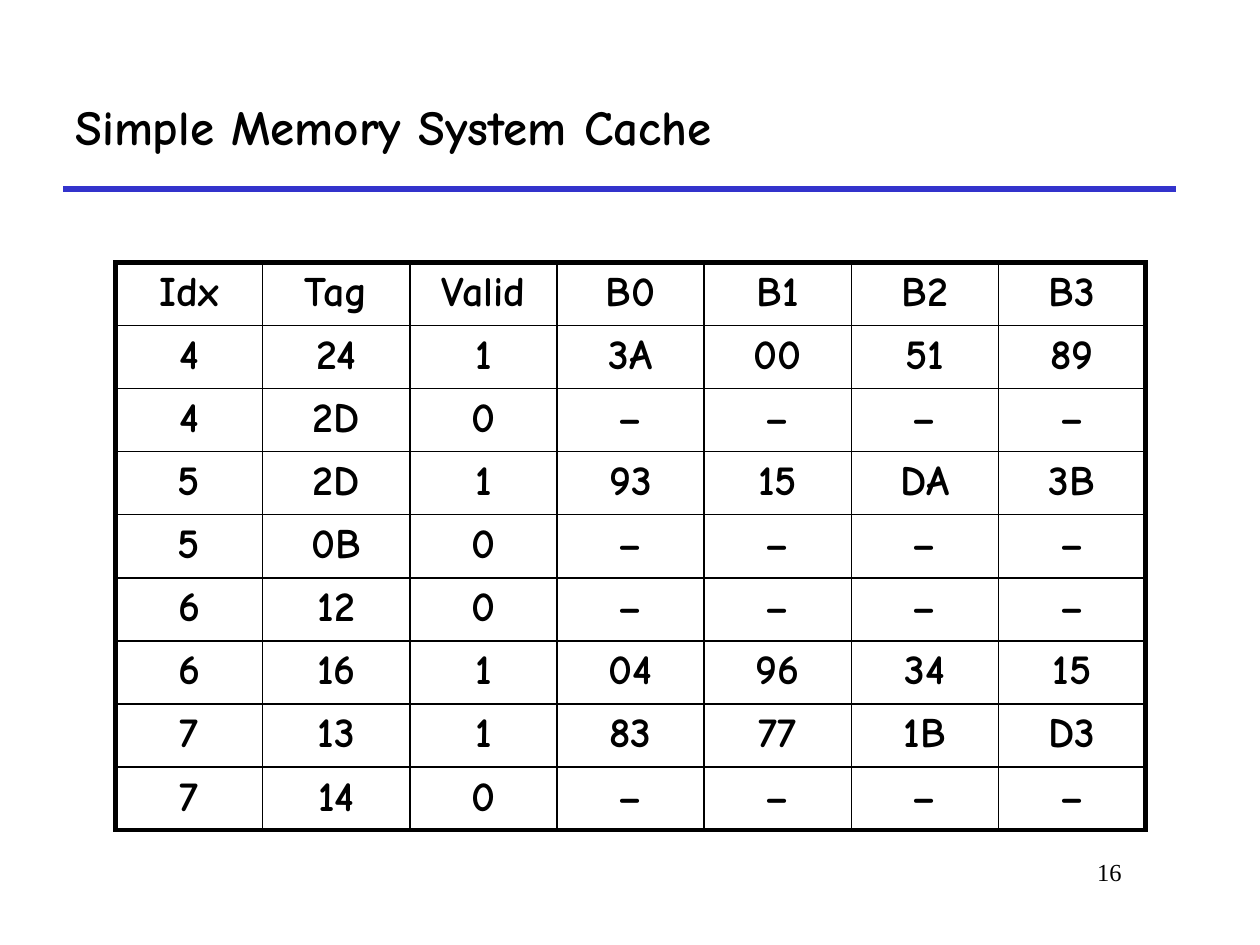
import dataclasses

import lxml.etree
import pptx
import pptx.dml.color
import pptx.enum.shapes
import pptx.enum.text
import pptx.oxml
import pptx.oxml.ns
import pptx.util


@dataclasses.dataclass(frozen=True)
class Theme:
    ink: str = "000000"
    rule: str = "3333CC"
    heading_font: str = "Comic Neue"
    number_font: str = "Times New Roman"
    title_size: int = 28
    cell_size: int = 24
    number_size: int = 14
    thick: int = 3
    thin: int = 1


theme = Theme()
align = pptx.enum.text.PP_ALIGN
anchor = pptx.enum.text.MSO_ANCHOR

deck = pptx.Presentation()
deck.slide_width = pptx.util.Inches(10)
deck.slide_height = pptx.util.Inches(7.5)
page = deck.slides.add_slide(deck.slide_layouts[6])
unit = deck.slide_width / 120  # the grid has 120 columns and 90 rows


def grid(*counts):
    return [round(count * unit) for count in counts]


def write(frame, text, font, size, bold, alignment):
    para = frame.paragraphs[0]
    para.text = text
    para.alignment = alignment
    para.font.name = font
    para.font.size = pptx.util.Pt(size)
    para.font.bold = bold
    para.font.color.rgb = pptx.dml.color.RGBColor.from_string(theme.ink)


# Rule under the title
rule = page.shapes.add_connector(
    pptx.enum.shapes.MSO_CONNECTOR.STRAIGHT, *grid(6, 18, 112, 18))
rule.line.color.rgb = pptx.dml.color.RGBColor.from_string(theme.rule)
rule.line.width = pptx.util.Pt(theme.thick)
lxml.etree.SubElement(rule._element.spPr, pptx.oxml.ns.qn("a:effectLst"))

# Title and page number
labels = [
    ((6, 6, 106, 12), anchor.MIDDLE, "Simple Memory System Cache",
     theme.heading_font, theme.title_size, True, align.LEFT),
    ((91, 81, 17, 6), anchor.TOP, "16",
     theme.number_font, theme.number_size, False, align.RIGHT),
]
for place, vertical, *text_style in labels:
    box = page.shapes.add_textbox(*grid(*place))
    box.text_frame.word_wrap = True
    box.text_frame.vertical_anchor = vertical
    write(box.text_frame, *text_style)

# Cache table
cache_rows = [line.split() for line in (
    "Idx Tag Valid B0 B1 B2 B3",
    "4 24 1 3A 00 51 89",
    "4 2D 0 – – – –",
    "5 2D 1 93 15 DA 3B",
    "5 0B 0 – – – –",
    "6 12 0 – – – –",
    "6 16 1 04 96 34 15",
    "7 13 1 83 77 1B D3",
    "7 14 0 – – – –",
)]
row_count, column_count = len(cache_rows), len(cache_rows[0])
column_step, row_step = 14.02, 5.97
cache = page.shapes.add_table(
    row_count, column_count,
    *grid(11, 25, column_count * column_step, row_count * row_step)).table
cache.first_row = False
cache.horz_banding = False
for column in cache.columns:
    column.width = grid(column_step)[0]
for row in cache.rows:
    row.height = grid(row_step)[0]

for row_index, values in enumerate(cache_rows):
    for column_index, value in enumerate(values):
        cell = cache.cell(row_index, column_index)
        write(cell.text_frame, value, theme.heading_font, theme.cell_size,
              True, align.CENTER)
        outer_sides = {
            "L": column_index == 0,
            "R": column_index == column_count - 1,
            "T": row_index == 0,
            "B": row_index == row_count - 1,
        }
        properties = cell._tc.get_or_add_tcPr()
        for side, is_outer in outer_sides.items():
            width = pptx.util.Pt(theme.thick if is_outer else theme.thin)
            properties.append(pptx.oxml.parse_xml(
                f'<a:ln{side} {pptx.oxml.ns.nsdecls("a")} w="{width}"><a:solidFill>'
                f'<a:srgbClr val="{theme.ink}"/></a:solidFill></a:ln{side}>'))
        cell.fill.background()

deck.save("out.pptx")
